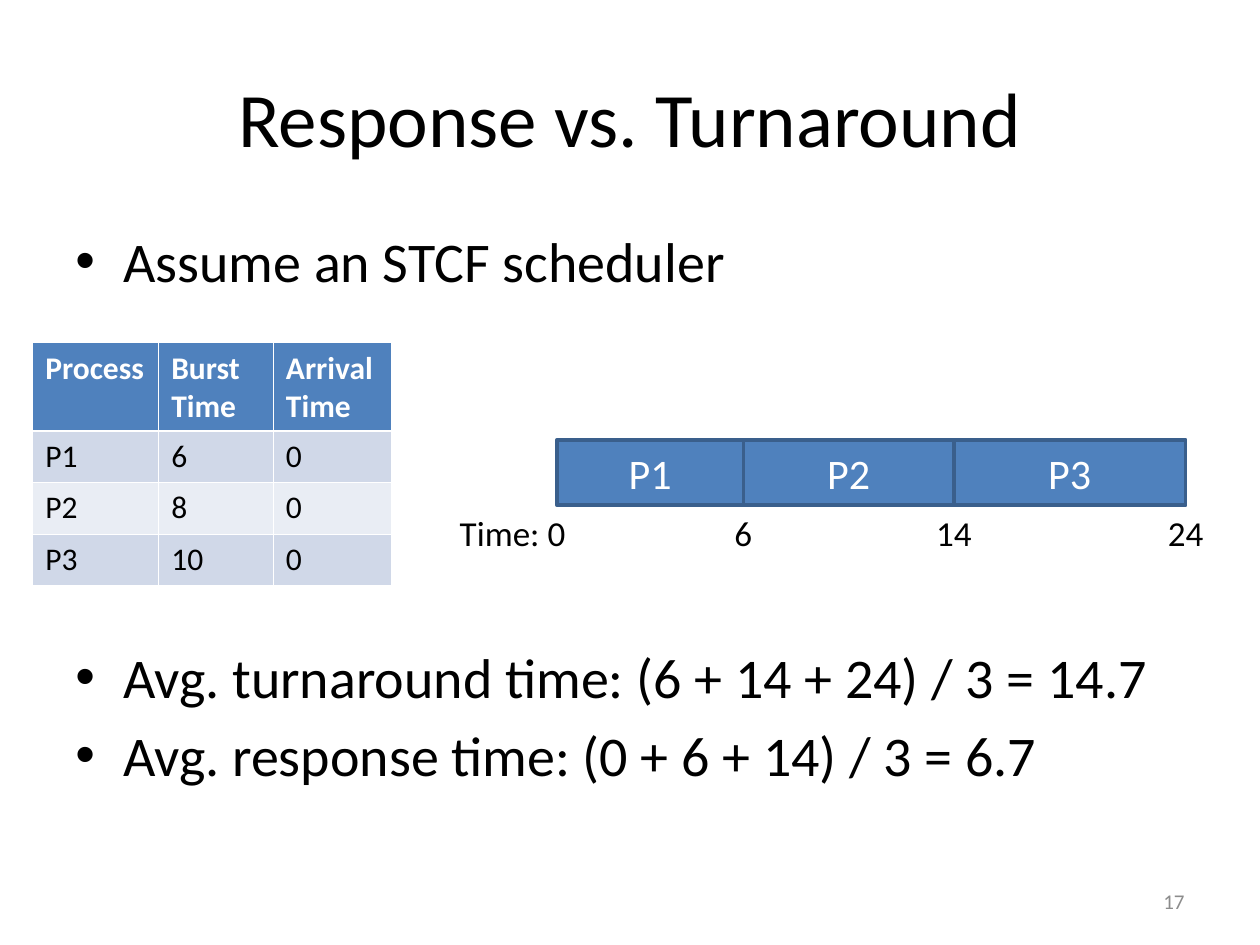
import pptx
import pptx.util
import pptx.dml.color
import pptx.enum.shapes
import pptx.enum.text
import pptx.oxml.ns
from lxml import etree

Inches, Pt = pptx.util.Inches, pptx.util.Pt
ALIGN, ANCHOR = pptx.enum.text.PP_ALIGN, pptx.enum.text.MSO_ANCHOR

TITLE = "Response vs. Turnaround"
ASSUMPTION = ["Assume an STCF scheduler"]
AVERAGES = [
    "Avg. turnaround time: (6 + 14 + 24) / 3 = 14.7",
    "Avg. response time: (0 + 6 + 14) / 3 = 6.7",
]
PAGE_NUMBER = "17"
PROCESSES = [
    ("Process", "Burst Time", "Arrival Time"),
    ("P1", "6", "0"),
    ("P2", "8", "0"),
    ("P3", "10", "0"),
]
COLUMN_WIDTHS = [1, 0.91, 0.94]
ROW_HEIGHTS = [0.7, 0.41, 0.41, 0.41]

# Scheduled process, bar width, finish time, label width
SCHEDULE = [("P1", 1.48, "6", 0.34), ("P2", 1.67, "14", 0.49), ("P3", 1.84, "24", 0.49)]
SCHEDULE_LEFT, BAR_TOP, BAR_HEIGHT = 4.42, 3.49, 0.52
LABEL_TOP, LABEL_HEIGHT = BAR_TOP + BAR_HEIGHT, 0.44

COLORS = {
    "black": "000000", "white": "FFFFFF", "gray": "8C8C8C",
    "blue": "4F81BD", "outline": "3A5F8C",
    "band_dark": "D0D8E8", "band_light": "E9EDF4",
}


def rgb(name):
    return pptx.dml.color.RGBColor.from_string(COLORS[name])


def paint(fill, color):
    fill.solid()
    fill.fore_color.rgb = rgb(color)


def write(para, text, size, color="black", align=ALIGN.LEFT, bold=False):
    para.alignment = align
    span = para.add_run()
    span.text = text
    formats = {"size": Pt(size), "name": "Calibri", "bold": bold}
    for name, value in formats.items():
        setattr(span.font, name, value)
    span.font.color.rgb = rgb(color)


def add_text_box(slide, place, wrap=True, anchor=ANCHOR.TOP):
    box = slide.shapes.add_textbox(*map(Inches, place))
    box.text_frame.word_wrap = wrap
    box.text_frame.vertical_anchor = anchor
    return box.text_frame


def add_bullets(slide, place, lines):
    frame = add_text_box(slide, place)
    for index, line in enumerate(lines):
        para = frame.add_paragraph() if index else frame.paragraphs[0]
        para.space_before = Pt(6.4 if index else 0)
        properties = para._p.get_or_add_pPr()
        properties.set("marL", str(Inches(0.38)))
        properties.set("indent", str(-Inches(0.38)))
        for tag, name, value in [("a:buFont", "typeface", "Arial"), ("a:buChar", "char", "•")]:
            etree.SubElement(properties, pptx.oxml.ns.qn(tag)).set(name, value)
        write(para, line, 32)


def add_process_table(slide):
    place = (0.26, 2.72, sum(COLUMN_WIDTHS), sum(ROW_HEIGHTS))
    table = slide.shapes.add_table(
        len(PROCESSES), len(COLUMN_WIDTHS), *map(Inches, place)).table
    for column, width in zip(table.columns, COLUMN_WIDTHS):
        column.width = Inches(width)
    for index, (row, height, values) in enumerate(zip(table.rows, ROW_HEIGHTS, PROCESSES)):
        row.height = Inches(height)
        header = index == 0
        fill = "blue" if header else "band_dark" if index % 2 else "band_light"
        for cell, value in zip(row.cells, values):
            paint(cell.fill, fill)
            write(cell.text_frame.paragraphs[0], value, 18,
                  "white" if header else "black", bold=header)


def add_time_label(slide, text, left, width, align):
    frame = add_text_box(slide, (left, LABEL_TOP, width, LABEL_HEIGHT), wrap=False)
    frame.auto_size = pptx.enum.text.MSO_AUTO_SIZE.SHAPE_TO_FIT_TEXT
    write(frame.paragraphs[0], text, 20, align=align)


def add_schedule(slide):
    add_time_label(slide, "Time: 0", 3.55, 1.05, ALIGN.LEFT)
    left = SCHEDULE_LEFT
    for process, width, finish, label_width in SCHEDULE:
        bar = slide.shapes.add_shape(
            pptx.enum.shapes.MSO_SHAPE.RECTANGLE,
            *map(Inches, (left, BAR_TOP, width, BAR_HEIGHT)))
        bar.shadow.inherit = False
        paint(bar.fill, "blue")
        bar.line.color.rgb = rgb("outline")
        bar.line.width = Pt(2)
        bar.text_frame.vertical_anchor = ANCHOR.MIDDLE
        write(bar.text_frame.paragraphs[0], process, 24, "white", ALIGN.CENTER)
        left += width
        add_time_label(slide, finish, left - label_width / 2, label_width, ALIGN.CENTER)


def main():
    deck = pptx.Presentation()
    deck.slide_width, deck.slide_height = Inches(10), Inches(7.5)
    slide = deck.slides.add_slide(deck.slide_layouts.get_by_name("Title Only"))

    title = slide.shapes.title
    place = {"left": 0.5, "top": 0.3, "width": 9, "height": 1.25}
    for name, value in place.items():
        setattr(title, name, Inches(value))
    title.text_frame.vertical_anchor = ANCHOR.MIDDLE
    write(title.text_frame.paragraphs[0], TITLE, 44, align=ALIGN.CENTER)

    add_bullets(slide, (0.5, 1.75, 9, 0.75), ASSUMPTION)
    add_process_table(slide)
    add_schedule(slide)
    add_bullets(slide, (0.5, 5.05, 9.46, 1.7), AVERAGES)

    number = add_text_box(slide, (7.17, 6.95, 2.33, 0.4), anchor=ANCHOR.MIDDLE)
    write(number.paragraphs[0], PAGE_NUMBER, 12, "gray", ALIGN.RIGHT)
    deck.save("out.pptx")


if __name__ == "__main__":
    main()
